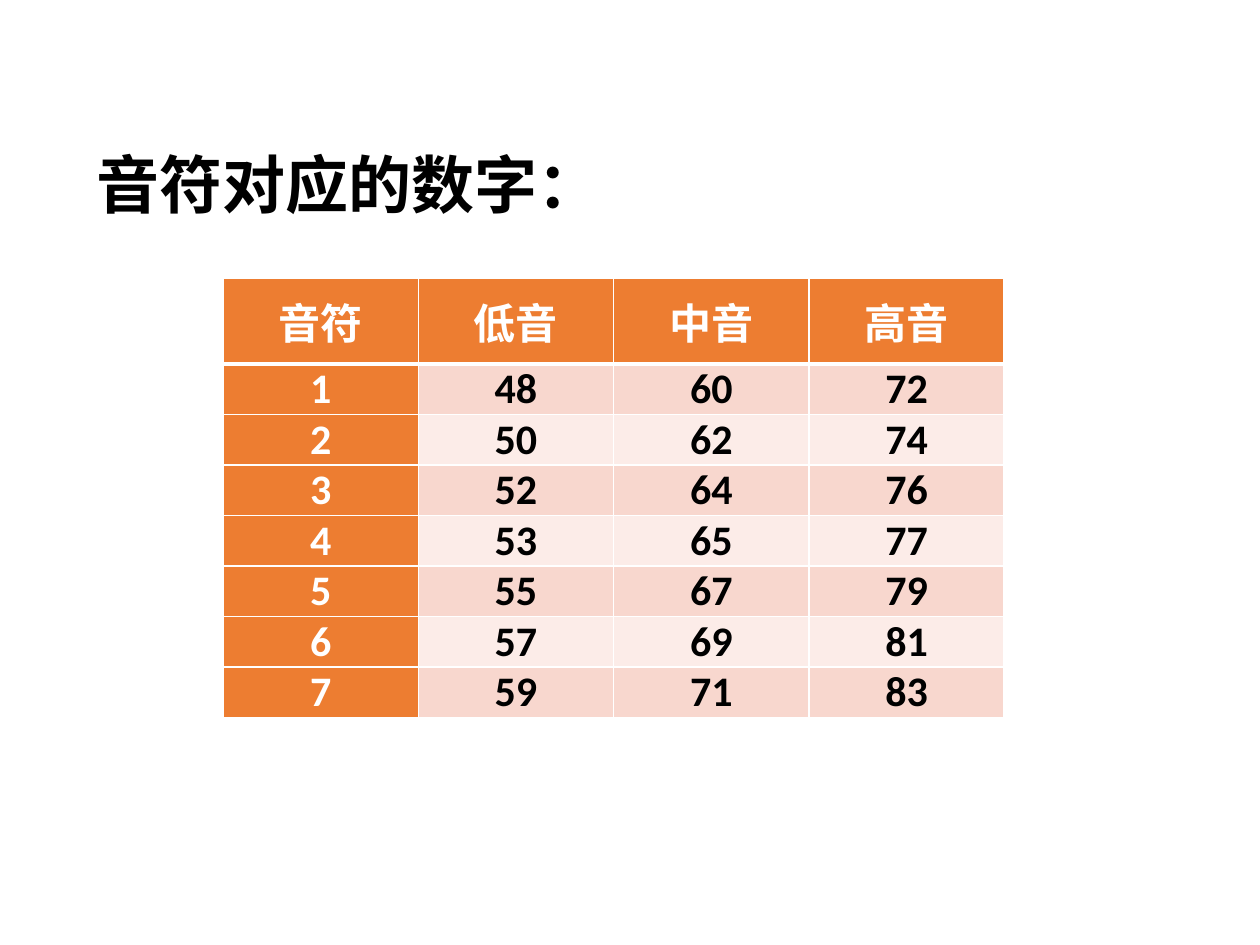
from lxml import etree
from pptx import Presentation
from pptx import util as u
from pptx.dml import color
from pptx.enum import text
from pptx.oxml import ns


def paint(item, code):
    item.rgb = color.RGBColor.from_string(code)


def edge(cell, side, width):
    line = etree.SubElement(cell._tc.get_or_add_tcPr(), ns.qn("a:ln" + side),
                            w=str(u.Pt(width)))
    fill = etree.SubElement(line, ns.qn("a:solidFill"))
    etree.SubElement(fill, ns.qn("a:srgbClr"), val=WHITE)


WHITE, BLACK, ORANGE = "FFFFFF", "000000", "ED7D31"
BANDS = ["FCECE8", "F8D7CE"]
FACE = "Noto Sans CJK SC"

deck = Presentation()
deck.slide_width, deck.slide_height = u.Inches(10), u.Inches(7.5)
slide = deck.slides.add_slide(deck.slide_layouts[6])

# Title
box = slide.shapes.add_textbox(u.Inches(0.67), u.Inches(0.81),
                               u.Inches(4.26), u.Inches(0.87))
frame = box.text_frame
frame.word_wrap = False
frame.auto_size = text.MSO_AUTO_SIZE.SHAPE_TO_FIT_TEXT
par = frame.paragraphs[0]
par.text = "音符对应的数字："
par.line_spacing = 1.5
par.font.size, par.font.bold, par.font.name = u.Pt(36), True, FACE
paint(par.font.color, BLACK)
etree.SubElement(par._p.pPr.find(ns.qn("a:defRPr")), ns.qn("a:ea"), typeface=FACE)

# Notes and their numbers: each octave is 12 higher
lows = [48, 50, 52, 53, 55, 57, 59]
rows = [["音符", "低音", "中音", "高音"]]
rows += [[n, low, low + 12, low + 24] for n, low in enumerate(lows, 1)]

# Table grid
wide, head, high = 1.55, 0.68, 0.4
table = slide.shapes.add_table(
    len(rows), 4, u.Inches(1.77), u.Inches(2.21),
    u.Inches(4 * wide), u.Inches(head + high * len(lows))).table
for col in table.columns:
    col.width = u.Inches(wide)

# Cells
for r, row in enumerate(rows):
    table.rows[r].height = u.Inches(high if r else head)
    for c, value in enumerate(row):
        cell = table.cell(r, c)
        label = r == 0 or c == 0
        cell.margin_left = cell.margin_right = u.Inches(0.07)
        cell.margin_top = cell.margin_bottom = 0
        cell.vertical_anchor = text.MSO_ANCHOR.MIDDLE
        for side, width in zip("LRTB", (1, 1, 3 if r == 1 else 1, 1 if r else 3)):
            edge(cell, side, width)
        cell.fill.solid()
        paint(cell.fill.fore_color, ORANGE if label else BANDS[r % 2])
        par = cell.text_frame.paragraphs[0]
        par.text = str(value)
        par.alignment = text.PP_ALIGN.CENTER
        par.font.size, par.font.bold, par.font.name = u.Pt(24), True, "Calibri"
        paint(par.font.color, WHITE if label else BLACK)

deck.save("out.pptx")
